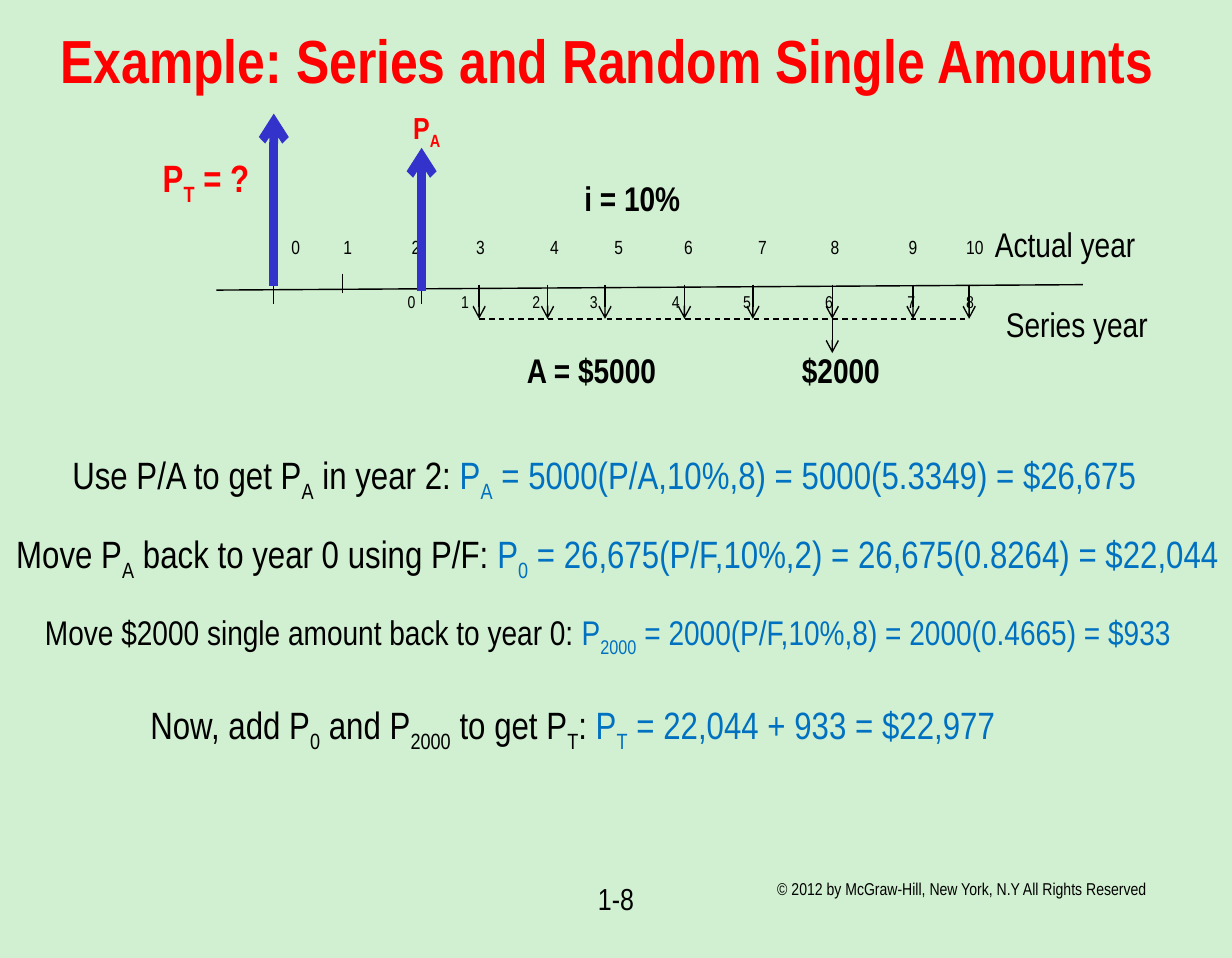
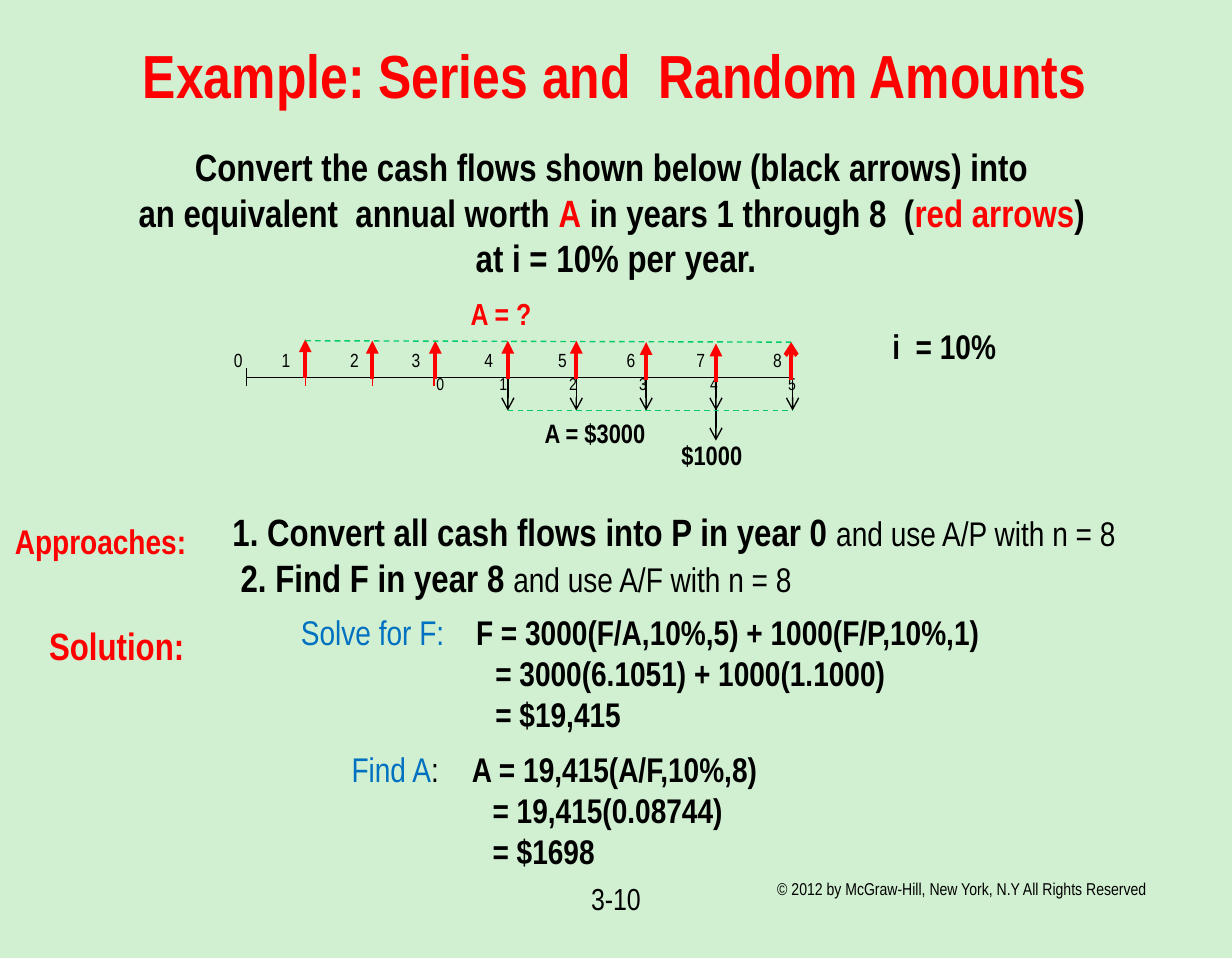
"""Build two slides on series and random cash flows."""
from dataclasses import dataclass

from lxml import etree
from pptx import Presentation
from pptx.dml.color import RGBColor
from pptx.enum import dml, shapes, text
from pptx.oxml import ns
from pptx.util import Inches, Pt


@dataclass(frozen=True)
class Theme:
    """Colours, font, type sizes and line widths of the deck."""
    font: str = "Arial Narrow"
    back: str = "D1F0D1"
    ink: str = "000000"
    red: str = "FF0000"
    blue: str = "0070C0"
    arrow: str = "3333CC"
    green: str = "00CC66"
    title: int = 32
    body: int = 20
    detail: int = 18
    label: int = 16
    note: int = 14
    tick: int = 10
    small: int = 9
    hair: float = 0.75
    medium: float = 2.25
    heavy: float = 4.5


THEME = Theme()
INSET = 0.1


def add_span(para, content, size, color, bold=False, sub=False):
    """Add one formatted run to a paragraph."""
    span = para.add_run()
    span.text = content
    font = span.font
    font.name, font.size, font.bold = THEME.font, Pt(size), bold
    font.color.rgb = RGBColor.from_string(color)
    if sub:
        font._element.set("baseline", "-25000")


def set_tabs(para, stops):
    """Give a paragraph left tab stops, in inches from its text edge."""
    tabs = etree.SubElement(para._p.get_or_add_pPr(), ns.qn("a:tabLst"))
    for stop in stops:
        etree.SubElement(tabs, ns.qn("a:tab"), pos=str(Inches(stop)), algn="l")


def write(page, at, *paras, size=THEME.detail, color=THEME.ink, bold=False,
          center=False, middle=False, wrap=False, tabs=(), indents=()):
    """Write paragraphs of (text, format) spans; text between ~ is subscript."""
    box = page.shapes.add_textbox(*map(Inches, at))
    frame = box.text_frame
    frame.word_wrap = wrap
    frame.auto_size = (text.MSO_AUTO_SIZE.NONE if wrap
                       else text.MSO_AUTO_SIZE.SHAPE_TO_FIT_TEXT)
    frame.vertical_anchor = (text.MSO_ANCHOR.MIDDLE if middle
                             else text.MSO_ANCHOR.TOP)
    base = {"size": size, "color": color, "bold": bold}
    for index, spans in enumerate(paras):
        para = frame.add_paragraph() if index else frame.paragraphs[0]
        para.alignment = text.PP_ALIGN.CENTER if center else text.PP_ALIGN.LEFT
        if index < len(indents):
            para._p.get_or_add_pPr().set("marL", str(Inches(indents[index])))
        if tabs:
            set_tabs(para, tabs)
        for content, style in [(spans, {})] if isinstance(spans, str) else spans:
            for part, piece in enumerate(content.split("~")):
                if piece:
                    add_span(para, piece, sub=part % 2 == 1, **(base | style))


def write_years(page, top, lefts, size, first=0):
    """Write a row of year numbers at the given left edges."""
    start = lefts[0]
    years = "\t".join(str(first + step) for step in range(len(lefts)))
    width = lefts[-1] - start + 0.5
    write(page, (start - INSET, top, width, 0.3), years, size=size, wrap=True,
          tabs=[left - start for left in lefts[1:]])


def draw_line(page, start, end, color=THEME.ink, width=THEME.hair,
              head=None, dashed=False):
    """Draw a straight line, with an arrowhead at its end if one is named."""
    line = page.shapes.add_connector(shapes.MSO_CONNECTOR.STRAIGHT,
                                     *map(Inches, (*start, *end)))
    line.line.color.rgb = RGBColor.from_string(color)
    line.line.width = Pt(width)
    if dashed:
        line.line.dash_style = dml.MSO_LINE.DASH
    if head:
        etree.SubElement(line.line._get_or_add_ln(), ns.qn("a:tailEnd"), type=head)
    etree.SubElement(line._element.spPr, ns.qn("a:effectLst"))


def draw_vertical(page, x, start, end, **style):
    """Draw a vertical line or arrow."""
    draw_line(page, (x, start), (x, end), **style)


def add_page(deck, title, title_at, number):
    """Add a slide with background, title, copyright line and page number."""
    page = deck.slides.add_slide(deck.slide_layouts[6])
    fill = page.background.fill
    fill.solid()
    fill.fore_color.rgb = RGBColor.from_string(THEME.back)
    write(page, title_at, title, size=THEME.title, color=THEME.red, bold=True,
          center=True, middle=True, wrap=True)
    write(page, (5.58, 6.37, 3.17, 0.46),
          "© 2012 by McGraw-Hill, New York, N.Y All Rights Reserved",
          size=THEME.small, wrap=True)
    write(page, (3.9, 6.38, 1.2, 0.47), number, size=THEME.label,
          center=True, wrap=True)
    return page


def draw_present_worth(page):
    """Draw the cash flow diagram with the present worth arrows."""
    draw_line(page, (1.58, 2.12), (7.91, 2.08))
    flows = (3.5, 4, 4.42, 5, 5.5, 6.08, 6.67, 7.08)
    for x in flows:
        draw_vertical(page, x, 2.08, 2.33, head="arrow")
    draw_line(page, (flows[0], 2.33), (flows[-1], 2.33), dashed=True)
    draw_vertical(page, 6.08, 2.33, 2.58, head="arrow")
    for x, top in ((2, 2.08), (2.5, 2), (3.08, 2.08)):
        draw_vertical(page, x, top, top + 0.14)
    write_years(page, 1.67, (2.13, 2.51, 3.01, 3.48, 4.02, 4.49, 5, 5.54,
                             6.07, 6.64, 7.06), THEME.tick)
    write_years(page, 2.08, (2.98, 3.37, 3.89, 4.31, 4.91, 5.43, 6.03, 6.63,
                             7.06), THEME.small)
    for x, bottom, top in ((2, 2.09, 0.83), (3.08, 2.13, 1.08)):
        draw_vertical(page, x, bottom, top, color=THEME.arrow,
                      width=THEME.heavy, head="arrow")
    for at, label in (((3.75, 2.5, 1.15, 0.4), "A = $5000"),
                      ((4.17, 1.25, 0.9, 0.4), "i = 10%"),
                      ((5.76, 2.5, 0.77, 0.4), "$2000")):
        write(page, at, label, bold=True)
    write(page, (7.17, 1.58, 1.42, 0.4), "Actual year", wrap=True)
    write(page, (7.25, 2.17, 1.42, 0.4), "Series year", wrap=True)
    write(page, (1.09, 1.08, 0.83, 0.48), "P~T~ = ?", size=THEME.body,
          color=THEME.red, bold=True)
    write(page, (2.92, 0.75, 0.45, 0.41), "P~A~", size=THEME.label,
          color=THEME.red, bold=True)


def write_steps(page):
    """Write the four calculation steps, each with its result in blue."""
    steps = (
        ((0.43, 3.25, 7.98, 0.48), THEME.body, "Use P/A to get P~A~ in year 2: ",
         "P~A~ = 5000(P/A,10%,8) = 5000(5.3349) = $26,675"),
        ((0.02, 3.83, 9.07, 0.48), THEME.body,
         "Move P~A~ back to year 0 using P/F: ",
         "P~0~ = 26,675(P/F,10%,2) = 26,675(0.8264) = $22,044"),
        ((0.23, 4.42, 8.45, 0.44), THEME.detail,
         "Move $2000 single amount back to year 0: ",
         "P~2000~ = 2000(P/F,10%,8) = 2000(0.4665) = $933"),
        ((1, 5.08, 6.4, 0.48), THEME.body,
         "Now, add P~0~ and P~2000~ to get P~T~: ",
         "P~T~ = 22,044 + 933 = $22,977"),
    )
    for at, size, task, result in steps:
        write(page, at, [(task, {}), (result, {"color": THEME.blue})], size=size)


def draw_annual_worth(page):
    """Draw the cash flow diagram with the red annual worth arrows."""
    axis = 2.76
    draw_line(page, (1.8, axis), (5.79, axis))
    flows = (3.71, 4.21, 4.72, 5.23, 5.79)
    for x in flows:
        draw_vertical(page, x, axis, 3, head="arrow")
    draw_vertical(page, 5.23, 2.97, 3.22, head="arrow")
    draw_line(page, (flows[0], 3), (flows[-1], 3), color=THEME.green, dashed=True)
    draw_vertical(page, 1.8, 2.69, 2.82)
    write_years(page, 2.5, (1.71, 2.06, 2.56, 3.01, 3.54, 4.08, 4.58, 5.09,
                            5.65), THEME.tick)
    write_years(page, 2.68, (3.19, 3.65, 4.16, 4.67, 5.19, 5.76), THEME.small)
    for x in (2.23, 2.72, 3.17):
        draw_vertical(page, x, 2.69, 2.82, color=THEME.red)
    worths = ((2.23, 2.48), (2.72, 2.49), (3.18, 2.49), (3.71, 2.49),
              (4.21, 2.49), (4.72, 2.5), (5.23, 2.51), (5.78, 2.5))
    for x, top in worths:
        draw_vertical(page, x, top + 0.28, top, color=THEME.red,
                      width=THEME.medium,
                      head="arrow" if x == worths[-1][0] else "triangle")
    draw_line(page, (2.23, 2.49), (5.78, 2.5), color=THEME.green, dashed=True)
    for at, label, size, color in (
            ((3.88, 3, 1.1, 0.34), "A = $3000", THEME.note, THEME.ink),
            ((4.88, 3.16, 0.8, 0.34), "$1000", THEME.note, THEME.ink),
            ((6.42, 2.33, 1.1, 0.4), "i  = 10%", THEME.detail, THEME.ink),
            ((3.34, 2.11, 0.8, 0.37), "A = ?", THEME.label, THEME.red)):
        write(page, at, label, size=size, color=color, bold=True, wrap=True)


def write_solution(page):
    """Write the question, the approaches and the worked solution."""
    red, blue = {"color": THEME.red}, {"color": THEME.blue}
    plain = {"size": THEME.detail, "bold": False}
    write(page, (0.25, 1, 8.5, 1.1),
          "Convert the cash flows shown below (black arrows) into ",
          [("an equivalent  annual worth ", {}), ("A", red),
           (" in years 1 through 8  (", {}), ("red arrows", red), (") ", {})],
          "at i = 10% per year.",
          size=THEME.body, bold=True, center=True, wrap=True)
    write(page, (0.01, 3.75, 1.45, 0.4), "Approaches:", color=THEME.red, bold=True)
    write(page, (0.26, 4.5, 1.19, 0.44), "Solution:", size=THEME.body,
          color=THEME.red, bold=True)
    write(page, (1.6, 3.67, 6.8, 0.77),
          [("1. Convert all cash flows into P in year 0 ", {}),
           ("and use A/P with n = 8", plain)],
          [("2. Find F in year 8 ", {}), ("and use A/F with n = 8", plain)],
          size=THEME.body, bold=True, wrap=True, indents=(0, 0.06))
    write(page, (2.1, 4.42, 5.3, 1),
          [("Solve for F:", blue | plain),
           ("\tF = 3000(F/A,10%,5) + 1000(F/P,10%,1)", {})],
          "= 3000(6.1051) + 1000(1.1000)", "= $19,415",
          bold=True, wrap=True, tabs=[1.28], indents=(0, 1.42, 1.42))
    write(page, (2.47, 5.42, 4.53, 1),
          [("Find A", blue | plain), (":", plain), ("\tA = 19,415(A/F,10%,8)", {})],
          "= 19,415(0.08744)", "= $1698",
          bold=True, wrap=True, tabs=[0.88], indents=(0, 1.03, 1.03))


def main():
    """Build and save the deck."""
    deck = Presentation()
    deck.slide_width, deck.slide_height = Inches(9), Inches(7)
    page = add_page(deck, "Example: Series and Random Single Amounts",
                    (0.08, 0.02, 8.72, 0.83), "1-8")
    draw_present_worth(page)
    write_steps(page)
    page = add_page(deck, "Example: Series and  Random Amounts",
                    (0.67, 0.17, 7.65, 0.75), "3-10")
    draw_annual_worth(page)
    write_solution(page)
    deck.save("out.pptx")


if __name__ == "__main__":
    main()
